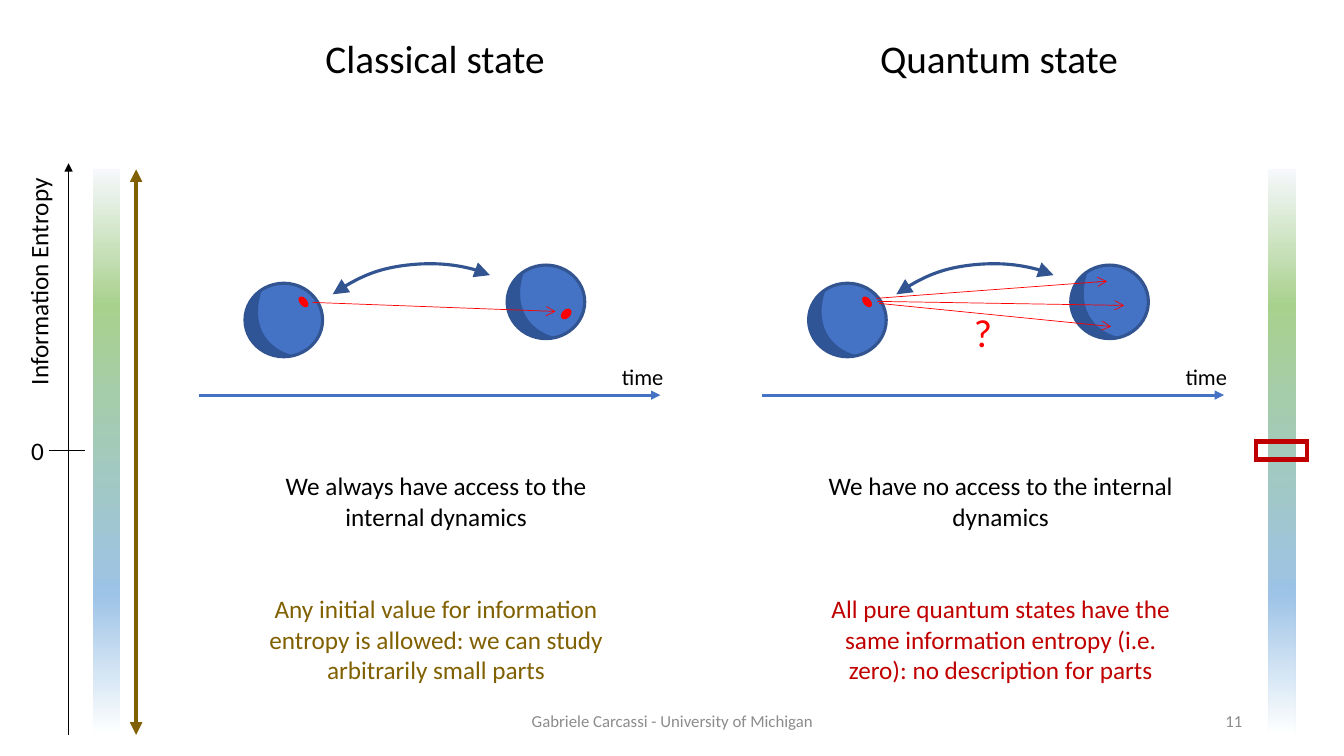
from copy import deepcopy
from lxml.etree import SubElement
from pptx import Presentation
from pptx.dml.color import RGBColor
from pptx.enum.shapes import MSO_CONNECTOR, MSO_SHAPE
from pptx.enum.text import MSO_ANCHOR, MSO_AUTO_SIZE, PP_ALIGN
from pptx.oxml.ns import qn
from pptx.util import Inches, Pt

BLACK, RED, CRIMSON, GOLD, GREY = "000000", "FF0000", "C00000", "806000", "8C8C8C"
BALL, EDGE, SHADE = "4472C4", "325491", "2F5597"
SHIFT = 5.59  # from the classical panel to the quantum panel


def paint(shape, fill=None, line=None, width=1, ends={}, size="med"):
    """Set fill, line and arrowheads, and switch the shadow off."""
    if fill:
        shape.fill.solid()
        shape.fill.fore_color.rgb = RGBColor.from_string(fill)
    elif hasattr(shape, "fill"):
        shape.fill.background()
    if line:
        shape.line.color.rgb = RGBColor.from_string(line)
        shape.line.width = Pt(width)
    else:
        shape.line.fill.background()
    props = shape.element.spPr
    stroke = props.find(qn("a:ln"))
    SubElement(stroke, qn("a:miter"), lim="800000")
    for end, kind in ends.items():
        SubElement(stroke, qn(f"a:{end}End"), type=kind, w=size, len=size)
    SubElement(props, qn("a:effectLst"))


def write(shapes, text, box, size, color=BLACK, align=PP_ALIGN.LEFT,
          wrap=False, grow=True, anchor=MSO_ANCHOR.TOP):
    label = shapes.add_textbox(*map(Inches, box))
    frame = label.text_frame
    frame.word_wrap = wrap
    frame.auto_size = MSO_AUTO_SIZE.SHAPE_TO_FIT_TEXT if grow else MSO_AUTO_SIZE.NONE
    frame.vertical_anchor = anchor
    par = frame.paragraphs[0]
    par.alignment = align
    run = par.add_run()
    run.text = text
    for key, value in {"name": "Calibri", "size": Pt(size)}.items():
        setattr(run.font, key, value)
    run.font.color.rgb = RGBColor.from_string(color)
    return label


deck = Presentation()
deck.slide_width, deck.slide_height = Inches(13.33), Inches(7.5)
slide = deck.slides.add_slide(deck.slide_layouts[6])
shapes = slide.shapes

# Entropy bars
stops = [(0, "F6F8FC"), (0.24, "A9D18E"), (0.75, "9DC3E6"), (1, "FFFFFF")]
for left in (0.92, 12.58):
    bar = shapes.add_shape(MSO_SHAPE.RECTANGLE, *map(Inches, (left, 1.68, 0.27, 5.61)))
    paint(bar)
    bar.fill.gradient()
    bar.fill.gradient_angle = 270
    ramp = bar.element.spPr.find(qn("a:gradFill")).find(qn("a:gsLst"))
    for _ in range(2):
        ramp.append(deepcopy(ramp[0]))
    for stop, (place, color) in zip(bar.fill.gradient_stops, stops):
        stop.position = place
        stop.color.rgb = RGBColor.from_string(color)

# Entropy axis, zero mark and range arrow
both = {"head": "triangle", "tail": "triangle"}
last = {"tail": "triangle"}
for ends, color, width, heads in [
    ((0.68, 7.29, 0.68, 1.62), BLACK, 0.5, last),
    ((0.49, 4.47, 0.84, 4.47), BLACK, 0.5, {}),
    ((1.35, 1.68, 1.35, 7.29), GOLD, 3, both),
]:
    axis = shapes.add_connector(MSO_CONNECTOR.STRAIGHT, *map(Inches, ends))
    paint(axis, line=color, width=width, ends=heads)
write(shapes, "0", (0.21, 4.27, 0.33, 0.4), 18)
name = write(shapes, "Information Entropy", (-0.76, 2.58, 2.28, 0.4), 18)
name.rotation = 270
zero = shapes.add_shape(MSO_SHAPE.RECTANGLE, *map(Inches, (12.46, 4.38, 0.5, 0.18)))
paint(zero, line=CRIMSON, width=3)

# Moving balls: each curve is a start point followed by cubic Bézier points,
# measured from the corner of its box
crescent = [(0.49, 0.66), (0.31, 0.7), (0.13, 0.62), (0.04, 0.47), (-0.05, 0.3),
            (0.01, 0.1), (0.17, 0), (0.05, 0.34), (0.2, 0.59), (0.49, 0.66)]
swing = [(0, 0.3), (0.22, 0.14), (0.48, 0.04), (0.74, 0.01),
         (1, -0.02), (1.35, 0.01), (1.56, 0.11)]
balls = [(2.43, 2.81), (5.03, 2.63)]
spot = (2.98, 2.94, 0.06, 0.11, 320.2)
panels = [
    (0, [spot, (5.58, 3.06, 0.07, 0.11, 45.2)], [(3.1, 3, 5.51, 3.09)]),
    (SHIFT, [spot], [(3.11, 2.99, 5.56, 3.03), (3.13, 3.01, 5.43, 3.24),
                     (3.1, 2.96, 5.39, 2.79)]),
]
for shift, spots, rays in panels:
    group = shapes.add_group_shape().shapes
    curves = []
    for left, top in balls:
        ball = group.add_shape(MSO_SHAPE.OVAL,
                               *map(Inches, (left + shift, top, 0.77, 0.73)))
        paint(ball, BALL, EDGE, 2.25)
        curves.append((crescent, (left, top + 0.06, 0.49, 0.67), SHADE, None, {}))
    curves.append((swing, (3.3, 2.62, 1.56, 0.3), None, EDGE, both))
    for knots, (left, top, wide, high), fill, line, heads in curves:
        left += shift
        pen = group.build_freeform(Inches(left), Inches(top))
        pen.add_line_segments([(Inches(left + wide), Inches(top + high))], close=False)
        curve = pen.convert_to_shape()
        track = next(curve.element.iter(qn("a:path")))
        for part in list(track):
            track.remove(part)
        for num, (x, y) in enumerate(knots):
            if num == 0:
                part = SubElement(track, qn("a:moveTo"))
            elif num % 3 == 1:
                part = SubElement(track, qn("a:cubicBezTo"))
            SubElement(part, qn("a:pt"), x=str(Inches(x)), y=str(Inches(y)))
        if fill:
            SubElement(track, qn("a:close"))
        paint(curve, fill, line, 2.25, heads, "lg")
    for left, top, wide, high, turn in spots:
        dot = group.add_shape(MSO_SHAPE.OVAL,
                              *map(Inches, (left + shift, top, wide, high)))
        dot.rotation = turn
        paint(dot, RED, RED)
    arrows = [((1.97, 3.92, 6.55, 3.92), BALL, 2.25, last)]
    arrows += [(ray, RED, 0.5, {"tail": "arrow"}) for ray in rays]
    for (x1, y1, x2, y2), color, width, heads in arrows:
        arrow = group.add_connector(MSO_CONNECTOR.STRAIGHT,
                                    *map(Inches, (x1 + shift, y1, x2 + shift, y2)))
        paint(arrow, line=color, width=width, ends=heads)
    write(group, "time", (6.07 + shift, 3.55, 0.62, 0.37), 16)
write(group, "?", (9.56, 3.01, 0.38, 0.57), 28, RED)

# Headings and statements
write(shapes, "Classical state", (3.13, 0.29, 2.4, 0.57), 28)
write(shapes, "Quantum state", (8.63, 0.29, 2.59, 0.57), 28)
for left, top, high, color, text in [
    (2.42, 4.62, 0.71, BLACK, "We always have access to the internal dynamics"),
    (8.02, 4.62, 0.71, BLACK, "We have no access to the internal dynamics"),
    (2.42, 5.84, 1.01, GOLD, "Any initial value for information entropy is allowed: "
                             "we can study arbitrarily small parts"),
    (8.02, 5.84, 1.01, CRIMSON, "All pure quantum states have the same information "
                                "entropy (i.e. zero): no description for parts"),
]:
    write(shapes, text, (left, top, 3.81, high), 18, color, PP_ALIGN.CENTER, wrap=True)

# Footer
for text, left, wide, align in [
    ("Gabriele Carcassi - University of Michigan", 4.42, 4.5, PP_ALIGN.CENTER),
    ("11", 9.42, 3, PP_ALIGN.RIGHT),
]:
    write(shapes, text, (left, 6.95, wide, 0.4), 12, GREY, align,
          wrap=True, grow=False, anchor=MSO_ANCHOR.MIDDLE)

deck.save("out.pptx")
